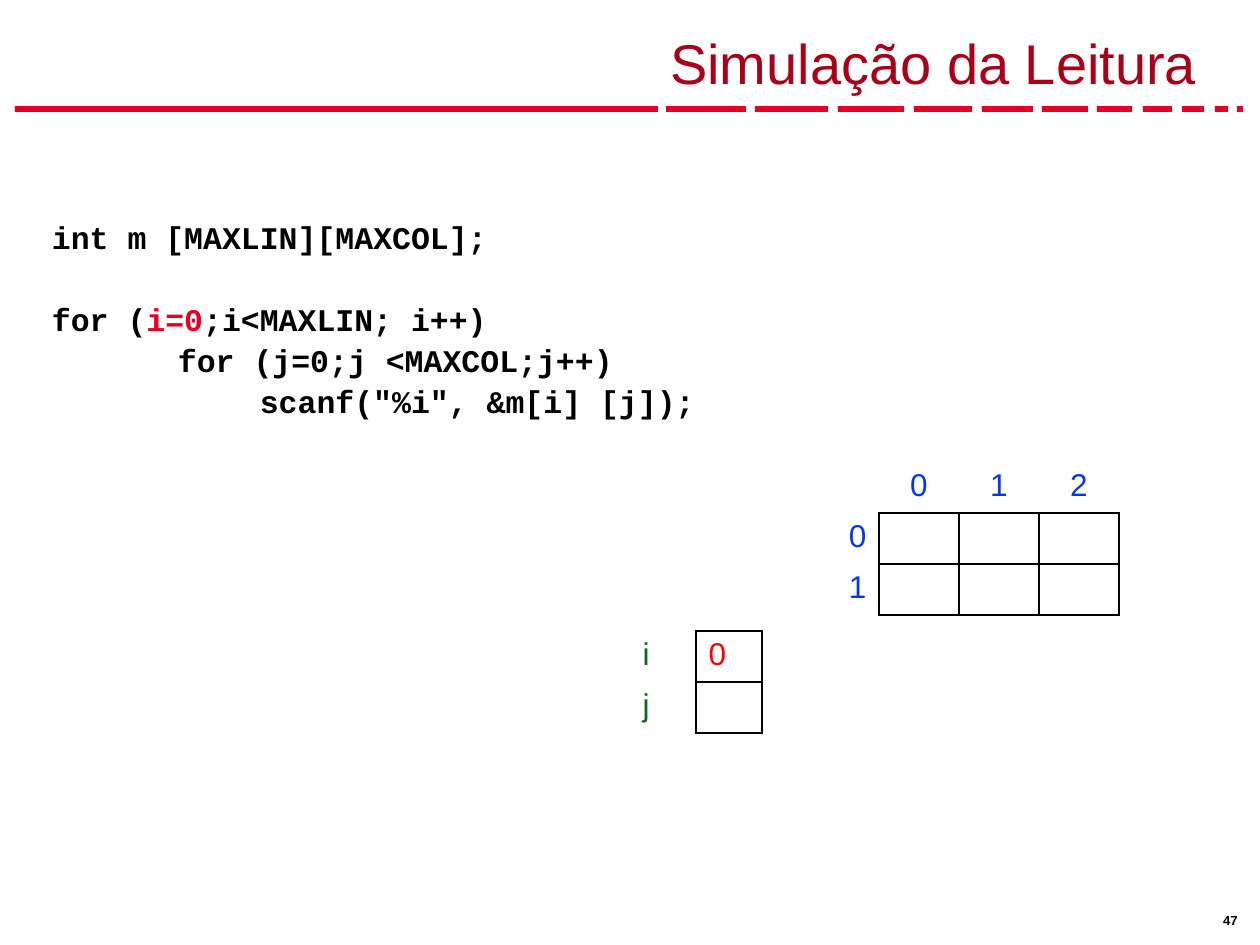
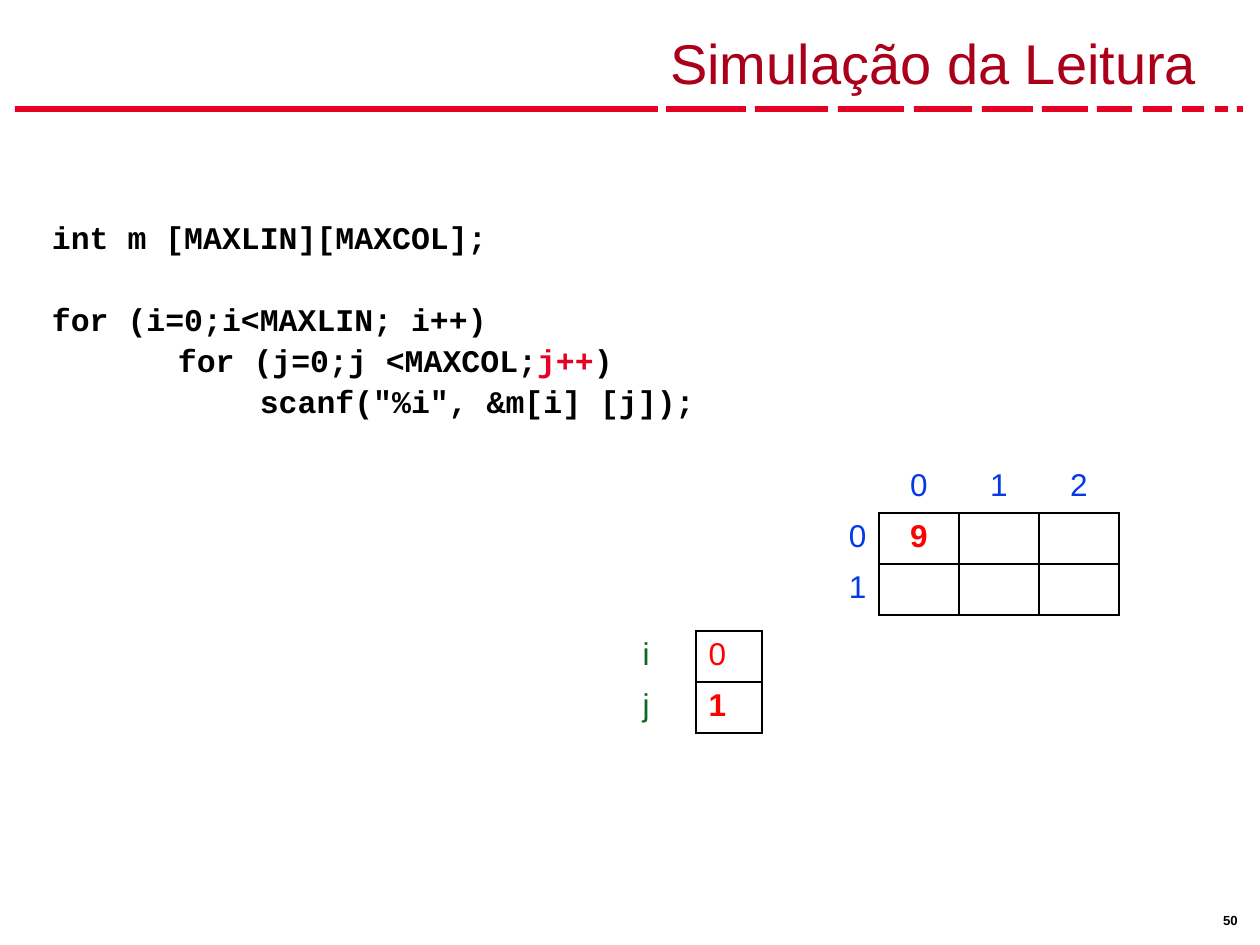
from dataclasses import dataclass
from typing import NamedTuple

from lxml.etree import SubElement
from pptx import Presentation
from pptx.dml.color import RGBColor
from pptx.enum.shapes import MSO_SHAPE
from pptx.enum.text import MSO_ANCHOR, PP_ALIGN
from pptx.oxml.ns import qn
from pptx.util import Emu, Pt

# Colours and fonts
RED = RGBColor(0xE4, 0x01, 0x23)
DARK_RED = RGBColor(0xAA, 0x00, 0x1A)
VALUE_RED = RGBColor(0xFF, 0x00, 0x00)
BLUE = RGBColor(0x03, 0x39, 0xE7)
GREEN = RGBColor(0x0C, 0x68, 0x22)
BLACK = RGBColor(0x00, 0x00, 0x00)
WHITE = RGBColor(0xFF, 0xFF, 0xFF)
SANS, MONO = "Arial", "Courier New"

PX_PER_INCH = 126
LINE_PITCH = Pt(23.4)
ROW_H = 51
BAND_TOP, BAND_H = 106, 6


class Dash(NamedTuple):
    left: int
    width: int


class Box(NamedTuple):
    left: int
    top: int
    width: int
    height: int


class Insets(NamedTuple):
    left: int = 13
    top: int = 6
    right: int = 13
    bottom: int = 6


@dataclass(frozen=True)
class Cell:
    text: str = ""
    color: RGBColor = VALUE_RED
    bold: bool = False
    align: PP_ALIGN = PP_ALIGN.LEFT
    edges: str = "LRTB"


@dataclass(frozen=True)
class Step:
    number: str
    highlight: str
    matrix: tuple[tuple[str, ...], ...]
    i: Cell
    j: Cell


DASHES = [
    Dash(15, 643), Dash(666, 80), Dash(755, 73), Dash(838, 66),
    Dash(914, 58), Dash(982, 51), Dash(1042, 46), Dash(1097, 35),
    Dash(1143, 29), Dash(1182, 22), Dash(1215, 13), Dash(1237, 6),
]

CODE = [
    "int m [MAXLIN][MAXCOL];",
    "for (i=0;i<MAXLIN; i++)",
    "      \tfor (j=0;j <MAXCOL;j++)",
    "         \t scanf(\"%i\", &m[i] [j]);",
]

STEPS = [
    Step("47", "i=0", (("", "", ""), ("", "", "")), Cell("0"), Cell()),
    Step("50", "j++", (("9", "", ""), ("", "", "")), Cell("0"), Cell("1", bold=True)),
]


def px(n: int) -> Emu:
    return Emu(round(n * 914400 / PX_PER_INCH))


def add_run(p, text: str, *, size: float = 18, color: RGBColor = BLACK,
            font: str = SANS, bold: bool = False, align: PP_ALIGN = PP_ALIGN.LEFT) -> None:
    p.alignment = align
    r = p.add_run()
    r.text = text
    r.font.size = Pt(size)
    r.font.name = font
    r.font.bold = bold
    r.font.color.rgb = color


def add_box(s, box: Box, insets: Insets = Insets()):
    tf = s.shapes.add_textbox(*map(px, box)).text_frame
    tf.word_wrap = True
    tf.margin_left, tf.margin_top, tf.margin_right, tf.margin_bottom = map(px, insets)
    return tf


# Shared frame: dashed band, slide number, title
def add_band(s) -> None:
    for dash in DASHES:
        sp = s.shapes.add_shape(MSO_SHAPE.RECTANGLE, px(dash.left), px(BAND_TOP),
                                px(dash.width), px(BAND_H))
        sp.shadow.inherit = False
        sp.fill.solid()
        sp.fill.fore_color.rgb = RED
        sp.line.fill.background()


def add_number(s, number: str) -> None:
    tf = add_box(s, Box(1213, 907, 42, 25), Insets(10, 5, 10, 5))
    add_run(tf.paragraphs[0], number, size=7.5, bold=True)


def add_title(s, title: str) -> None:
    tf = add_box(s, Box(39, 10, 1187, 92), Insets(right=29))
    tf.vertical_anchor = MSO_ANCHOR.BOTTOM
    add_run(tf.paragraphs[0], title, size=32, color=DARK_RED, align=PP_ALIGN.RIGHT)


# Code listing with the active expression in red
def add_code(s, highlight: str) -> None:
    tf = add_box(s, Box(39, 127, 791, 341), Insets(top=88))
    for n, line in enumerate(CODE):
        p = tf.add_paragraph() if n else tf.paragraphs[0]
        p.line_spacing = LINE_PITCH
        if n == 1:
            p.space_before = LINE_PITCH
        for part in line.partition(highlight):
            if part:
                add_run(p, part, font=MONO, bold=True,
                        color=RED if part == highlight else BLACK)


# Tables
def set_borders(cell, edges: str) -> None:
    tc_pr = cell._tc.get_or_add_tcPr()
    for edge in "LRTB":
        ln = SubElement(tc_pr, qn(f"a:ln{edge}"), w=str(Pt(1)))
        if edge in edges:
            fill = SubElement(ln, qn("a:solidFill"))
            SubElement(fill, qn("a:srgbClr"), val=str(BLACK))
        else:
            SubElement(ln, qn("a:noFill"))


def add_grid(s, left: int, top: int, col_w: int, rows: list[list[Cell]]) -> None:
    n_rows, n_cols = len(rows), len(rows[0])
    table = s.shapes.add_table(n_rows, n_cols, px(left), px(top),
                               px(col_w * n_cols), px(ROW_H * n_rows)).table
    table.first_row = table.horz_banding = False
    for r, row in enumerate(rows):
        for c, item in enumerate(row):
            cell = table.cell(r, c)
            set_borders(cell, item.edges)
            cell.fill.solid()
            cell.fill.fore_color.rgb = WHITE
            if item.text:
                add_run(cell.text_frame.paragraphs[0], item.text, color=item.color,
                        bold=item.bold, align=item.align)


def add_matrix(s, values: tuple[tuple[str, ...], ...]) -> None:
    header = [Cell(edges="")] + [
        Cell(str(c), BLUE, align=PP_ALIGN.CENTER, edges="B") for c in range(len(values[0]))]
    body = [
        [Cell(str(r), BLUE, align=PP_ALIGN.RIGHT, edges="R")]
        + [Cell(v, bold=True, align=PP_ALIGN.CENTER) for v in row]
        for r, row in enumerate(values)]
    add_grid(s, 799, 462, 80, [header, *body])


def add_counters(s, i: Cell, j: Cell) -> None:
    add_grid(s, 630, 631, 66, [
        [Cell(name, GREEN, edges="R"), value] for name, value in (("i", i), ("j", j))])


def main() -> None:
    prs = Presentation()
    prs.slide_width, prs.slide_height = px(1260), px(945)
    for step in STEPS:
        s = prs.slides.add_slide(prs.slide_layouts[6])
        add_band(s)
        add_number(s, step.number)
        add_matrix(s, step.matrix)
        add_counters(s, step.i, step.j)
        add_title(s, "Simulação da Leitura")
        add_code(s, step.highlight)
    prs.save("out.pptx")


if __name__ == "__main__":
    main()
